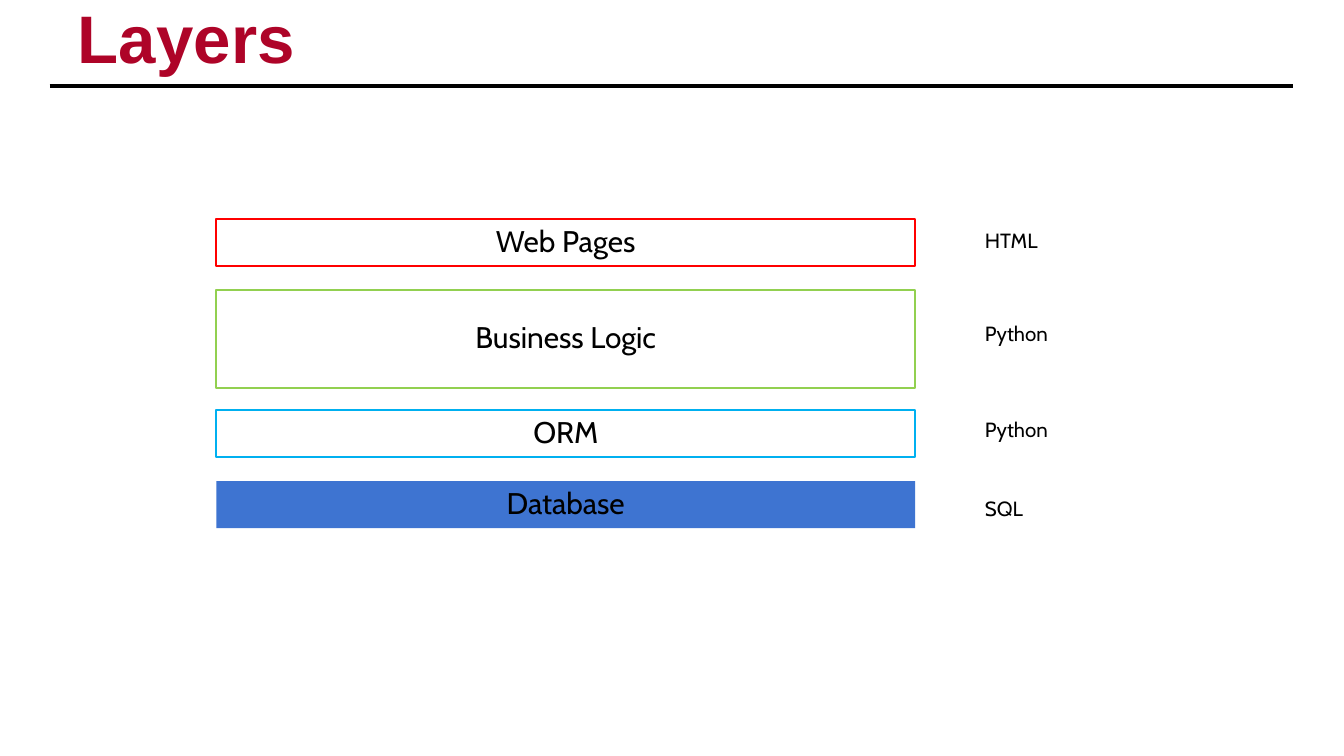
from dataclasses import dataclass

from lxml import etree
from pptx import Presentation
from pptx.dml.color import RGBColor
from pptx.enum.shapes import MSO_CONNECTOR, MSO_SHAPE
from pptx.enum.text import MSO_ANCHOR, PP_ALIGN
from pptx.oxml.ns import qn
from pptx.slide import Slide
from pptx.text.text import TextFrame
from pptx.util import Inches, Pt

RECTANGLE = MSO_SHAPE.RECTANGLE
STRAIGHT = MSO_CONNECTOR.STRAIGHT
LEFT, CENTER = PP_ALIGN.LEFT, PP_ALIGN.CENTER
TOP, MIDDLE, BOTTOM = MSO_ANCHOR.TOP, MSO_ANCHOR.MIDDLE, MSO_ANCHOR.BOTTOM

PAGE_WIDTH = 10
PAGE_HEIGHT = PAGE_WIDTH * 9 / 16  # widescreen
BLACK = "000000"
BODY_FONT = "Cabin"
LAYER_LEFT, LAYER_WIDTH = 1.61, 5.2
LABEL_LEFT, LABEL_WIDTH, LABEL_HEIGHT = 7.23, 3.33, 0.28


@dataclass
class Layer:
    name: str
    top: float
    height: float
    color: str
    technology: str
    label_top: float
    filled: bool = False


LAYERS = [
    Layer("Web Pages", 1.63, 0.35, "FF0000", "HTML", 1.65),
    Layer("Business Logic", 2.16, 0.73, "92D050", "Python", 2.34),
    Layer("ORM", 3.05, 0.35, "00B0F0", "Python", 3.05),
    Layer("Database", 3.58, 0.35, "3E74D1", "SQL", 3.64, filled=True),
]


def rgb(color: str) -> RGBColor:
    return RGBColor.from_string(color)


def write_text(frame: TextFrame, text: str, size: float, *, font: str = BODY_FONT,
               color: str = BLACK, bold: bool = False, align: PP_ALIGN = LEFT,
               anchor: MSO_ANCHOR = TOP, spacing: float = 1.0,
               inset: float | None = None) -> None:
    frame.word_wrap = True
    frame.vertical_anchor = anchor
    if inset is not None:
        frame.margin_left = frame.margin_right = Inches(inset)
        frame.margin_top = frame.margin_bottom = Inches(inset)
    para = frame.paragraphs[0]
    para.text = text
    para.alignment = align
    para.line_spacing = spacing
    para.font.name = font
    para.font.size = Pt(size)
    para.font.bold = bold
    para.font.color.rgb = rgb(color)


def draw_heading(page: Slide, text: str) -> None:
    rule = page.shapes.add_connector(
        STRAIGHT, Inches(0.37), Inches(0.64), Inches(9.62), Inches(0.64))
    rule.line.color.rgb = rgb(BLACK)
    rule.line.width = Pt(2)
    etree.SubElement(rule._element.spPr, qn("a:effectLst"))

    box = page.shapes.add_textbox(Inches(0.55), Inches(0.1), Inches(8.91), Inches(0.49))
    write_text(box.text_frame, text, 36, font="Arial", color="AE0428", bold=True,
               anchor=BOTTOM, spacing=0.7, inset=0.03)


def draw_layer(page: Slide, layer: Layer) -> None:
    box = page.shapes.add_shape(
        RECTANGLE, Inches(LAYER_LEFT), Inches(layer.top),
        Inches(LAYER_WIDTH), Inches(layer.height))
    box.shadow.inherit = False
    if layer.filled:
        box.fill.solid()
        box.fill.fore_color.rgb = rgb(layer.color)
        box.line.fill.background()
    else:
        box.fill.background()
        box.line.color.rgb = rgb(layer.color)
        box.line.width = Pt(1)
    write_text(box.text_frame, layer.name, 16, align=CENTER, anchor=MIDDLE,
               spacing=0.9, inset=0.06)

    label = page.shapes.add_textbox(
        Inches(LABEL_LEFT), Inches(layer.label_top),
        Inches(LABEL_WIDTH), Inches(LABEL_HEIGHT))
    write_text(label.text_frame, layer.technology, 11)


def main() -> None:
    deck = Presentation()
    deck.slide_width, deck.slide_height = Inches(PAGE_WIDTH), Inches(PAGE_HEIGHT)
    page = deck.slides.add_slide(deck.slide_layouts[6])

    # Title and rule
    draw_heading(page, "Layers")

    # Application layers with their technologies
    for layer in LAYERS:
        draw_layer(page, layer)

    deck.save("out.pptx")


if __name__ == "__main__":
    main()
